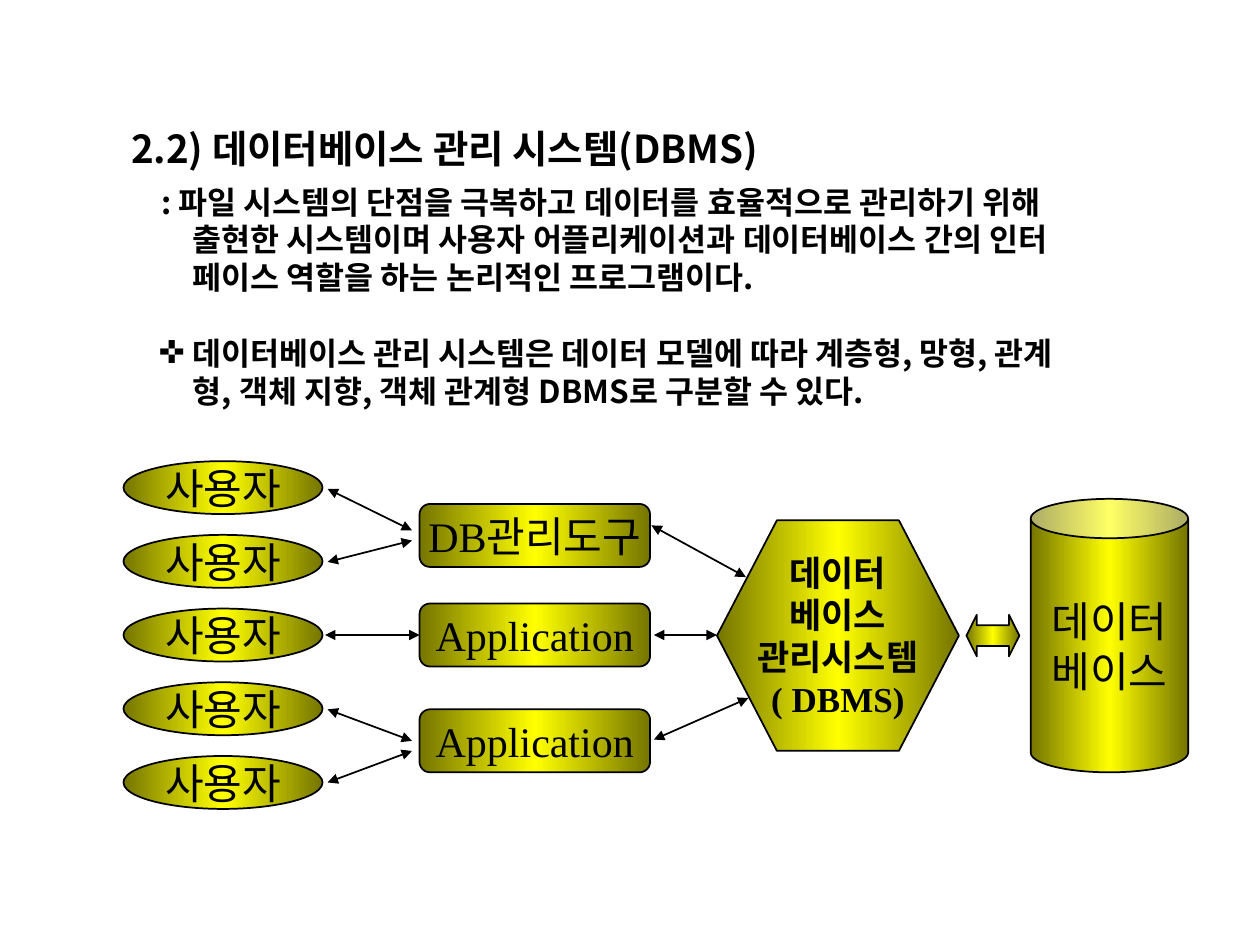
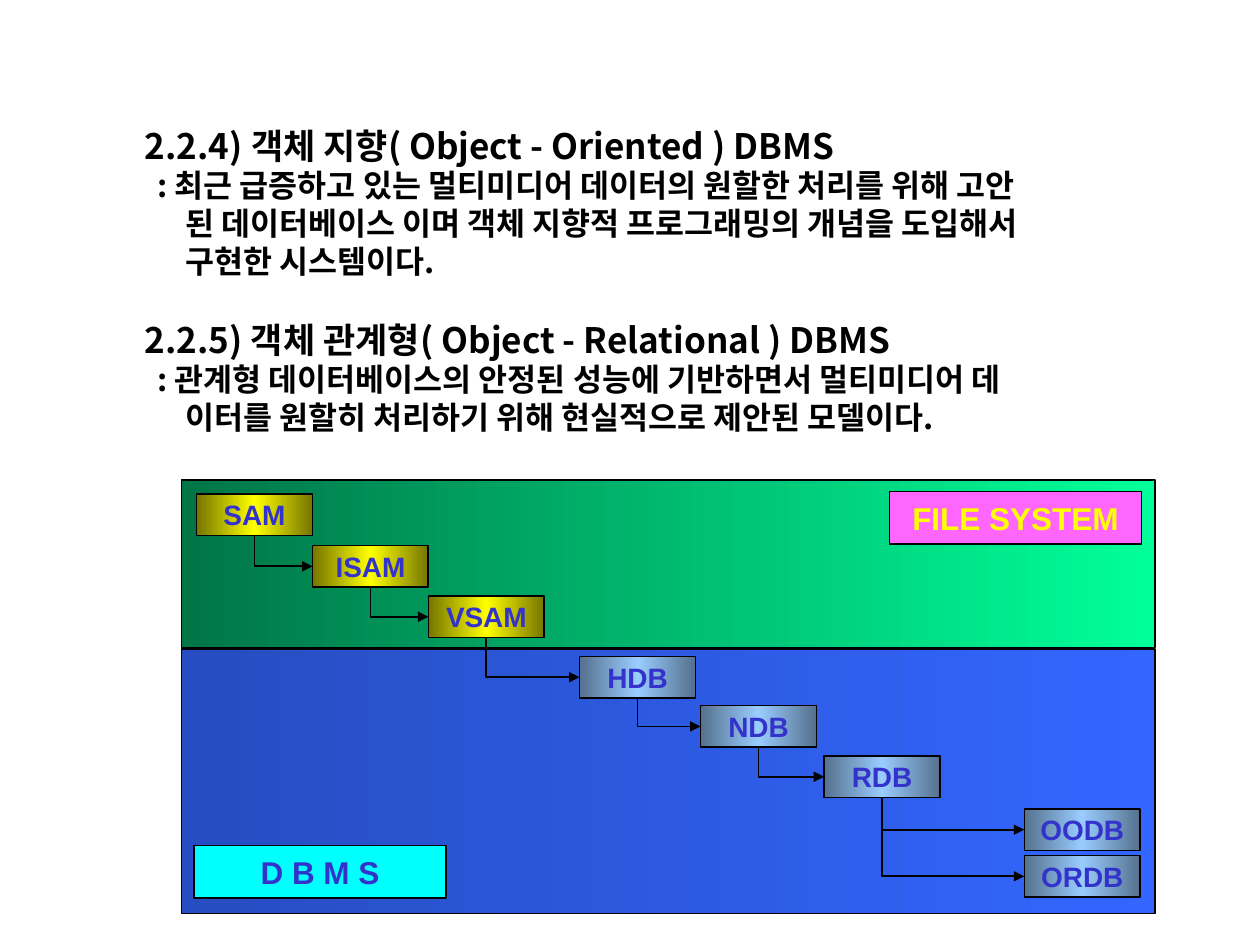
import pptx
import pptx.util
import pptx.dml.color
import pptx.enum.shapes
import pptx.enum.text
import pptx.oxml
import pptx.oxml.ns
import lxml.etree

Inches, Pt = pptx.util.Inches, pptx.util.Pt
SHAPE = pptx.enum.shapes.MSO_SHAPE
LINE = pptx.enum.shapes.MSO_CONNECTOR
ALIGN = pptx.enum.text.PP_ALIGN
ANCHOR = pptx.enum.text.MSO_ANCHOR
qn = pptx.oxml.ns.qn

BLACK, YELLOW, INDIGO = "000000", "FFFF00", "3333CC"
GOLD = ("757500", "FFFF00", "757500")
STEEL = ("55718E", "99CCFF", "55718E")
GREEN_BAND = ("00FF99", "007546")
BLUE_BAND = ("3366FF", "264DC1")
KOREAN, SERIF, SANS = "Noto Sans CJK KR", "Times New Roman", "Arial"
LEADING = 1.2


def rgb(color):
    return pptx.dml.color.RGBColor.from_string(color)


def add_xml(parent, tag, **attrs):
    return lxml.etree.SubElement(parent, qn(tag), attrs)


class Deck:
    """Holds the shared style and the slide being drawn."""

    def __init__(self):
        self.prs = pptx.Presentation()
        self.prs.slide_width, self.prs.slide_height = Inches(10), Inches(7.5)
        self.slide = None

    def new_slide(self, title, size, left):
        self.slide = self.prs.slides.add_slide(self.prs.slide_layouts[5])
        s = self.slide.shapes.title
        s.left, s.top = Inches(left), Inches(0.99)
        s.width, s.height = Inches(8), Inches(0.4)
        tf = self.plain_frame(s)
        tf.text = title
        self.style(tf.paragraphs[0], size, KOREAN, BLACK, True)

    def plain_frame(self, s):
        tf = s.text_frame
        tf.margin_left = tf.margin_right = tf.margin_top = tf.margin_bottom = 0
        tf.vertical_anchor = ANCHOR.TOP
        tf.word_wrap = True
        tf.auto_size = pptx.enum.text.MSO_AUTO_SIZE.NONE
        return tf

    def style(self, p, size, font, color, bold, align=ALIGN.LEFT):
        p.alignment = align
        p.line_spacing = Pt(size * LEADING)
        for r in p.runs:
            r.font.size, r.font.name, r.font.bold = Pt(size), font, bold
            r.font.color.rgb = rgb(color)
            add_xml(r.font._element, "a:ea", typeface=KOREAN)

    def body(self, left, top, height, paragraphs):
        """Each paragraph is (text, size, margin, hang, space before, bullet)."""
        s = self.slide.shapes.add_textbox(Inches(left), Inches(top), Inches(8.2), Inches(height))
        tf = self.plain_frame(s)
        for i, (text, size, margin, hang, before, bullet) in enumerate(paragraphs):
            p = tf.add_paragraph() if i else tf.paragraphs[0]
            p.text = text
            self.style(p, size, KOREAN, BLACK, True)
            p.space_before = Pt(before)
            pPr = p._p.get_or_add_pPr()
            pPr.set("marL", str(Inches(margin)))
            pPr.set("indent", str(-Inches(hang)))
            if bullet:
                add_xml(pPr, "a:buFont", typeface=SANS)
                add_xml(pPr, "a:buChar", char=bullet)

    def shape(self, kind, x, y, w, h, fill, text="", size=24, font=SERIF,
              color=BLACK, bold=False, adjust=()):
        s = self.slide.shapes.add_shape(kind, Inches(x), Inches(y), Inches(w), Inches(h))
        s.shadow.inherit = False
        for i, value in enumerate(adjust):
            s.adjustments[i] = value
        s.line.color.rgb, s.line.width = rgb(BLACK), Pt(1)
        if isinstance(fill, str):
            s.fill.solid()
            s.fill.fore_color.rgb = rgb(fill)
        else:
            self.gradient(s, fill)
        if text:
            tf = s.text_frame
            tf.text = text
            tf.word_wrap = False
            tf.vertical_anchor = ANCHOR.MIDDLE
            self.style(tf.paragraphs[0], size, font, color, bold, ALIGN.CENTER)
        return s

    def gradient(self, s, colors):
        s.fill.gradient()
        s.fill.gradient_angle = 180
        stops = s.element.spPr.find(qn("a:gradFill")).find(qn("a:gsLst"))
        for old in list(stops):
            stops.remove(old)
        for i, color in enumerate(colors):
            gs = add_xml(stops, "a:gs", pos=str(100000 * i // (len(colors) - 1)))
            add_xml(gs, "a:srgbClr", val=color)

    def finish_line(self, c, *ends):
        c.line.color.rgb, c.line.width = rgb(BLACK), Pt(1)
        for end in ends:
            add_xml(c.line._get_or_add_ln(), end, type="triangle")
        add_xml(c.element.spPr, "a:effectLst")

    def double_arrow(self, x1, y1, x2, y2):
        c = self.slide.shapes.add_connector(
            LINE.STRAIGHT, Inches(x1), Inches(y1), Inches(x2), Inches(y2))
        self.finish_line(c, "a:headEnd", "a:tailEnd")

    def step_arrow(self, start, end):
        """Goes down from the bottom of one box, then right into the next."""
        c = self.slide.shapes.add_connector(LINE.ELBOW, 0, 0, 0, 0)
        c.begin_connect(start, 2)
        c.end_connect(end, 1)
        x1, y1 = start.left + start.width // 2, start.top + start.height
        dx, dy = end.left - x1, end.top + end.height // 2 - y1
        # The one-bend preset turns the other way, so it is rotated and flipped
        c.left, c.top = x1 + (dx - dy) // 2, y1 + (dy - dx) // 2
        c.width, c.height = dy, dx
        spPr = c.element.spPr
        xfrm = spPr.find(qn("a:xfrm"))
        xfrm.attrib.pop("flipV", None)
        xfrm.set("rot", "16200000")
        xfrm.set("flipH", "1")
        spPr.find(qn("a:prstGeom")).set("prst", "bentConnector2")
        self.finish_line(c, "a:tailEnd")


def dbms_slide(deck):
    deck.new_slide("2.2) 데이터베이스 관리 시스템(DBMS)", 22, 1.04)
    deck.body(1.04, 1.45, 1.9, [
        (": 파일 시스템의 단점을 극복하고 데이터를 효율적으로 관리하기 위해\v"
         "출현한 시스템이며 사용자 어플리케이션과 데이터베이스 간의 인터\v"
         "페이스 역할을 하는 논리적인 프로그램이다.", 18, 0.49, 0.25, 0, None),
        ("데이터베이스 관리 시스템은 데이터 모델에 따라 계층형, 망형, 관계\v"
         "형, 객체 지향, 객체 관계형 DBMS로 구분할 수 있다.", 18, 0.49, 0.27, 21.6, "✜"),
    ])

    # Users and the tools they work with
    for i in range(5):
        deck.shape(SHAPE.OVAL, 0.98, 3.66 + 0.585 * i, 1.58, 0.42, GOLD, "사용자")
    for y, name in ((4, "DB관리도구"), (4.79, "Application"), (5.63, "Application")):
        deck.shape(SHAPE.ROUNDED_RECTANGLE, 3.33, y, 1.83, 0.5, GOLD, name)

    # DBMS and database
    deck.shape(SHAPE.HEXAGON, 5.69, 4.13, 1.92, 1.83, GOLD,
               "데이터\v베이스\v관리시스템\v( DBMS)", size=20, bold=True, adjust=(0.26,))
    deck.shape(SHAPE.CAN, 8.18, 3.96, 1.25, 2.17, GOLD, "데이터\v베이스", adjust=(0.25,))
    deck.shape(SHAPE.LEFT_RIGHT_ARROW, 7.67, 4.88, 0.42, 0.33, GOLD, adjust=(0.5, 0.25))

    # Links from users to tools, then from tools to the DBMS
    for ends in ((2.6, 3.88, 3.27, 4.21), (2.6, 4.46, 3.27, 4.29), (2.58, 5.04, 3.33, 5.04),
                 (2.6, 5.63, 3.27, 5.88), (2.6, 6.21, 3.27, 5.96),
                 (5.17, 4.17, 5.92, 4.58), (5.19, 5.04, 5.69, 5.04), (5.19, 5.87, 5.94, 5.54)):
        deck.double_arrow(*ends)


def object_dbms_slide(deck):
    deck.new_slide("2.2.4) 객체 지향( Object - Oriented ) DBMS", 20, 1.15)
    deck.body(1.15, 1.32, 2.15, [
        (": 최근 급증하고 있는 멀티미디어 데이터의 원할한 처리를 위해 고안\v"
         "된 데이터베이스 이며 객체 지향적 프로그래밍의 개념을 도입해서\v"
         "구현한 시스템이다.", 18, 0.32, 0.22, 0, None),
        ("2.2.5) 객체 관계형( Object - Relational ) DBMS", 20, 0, 0, 22, None),
        (": 관계형 데이터베이스의 안정된 성능에 기반하면서 멀티미디어 데\v"
         "이터를 원할히 처리하기 위해 현실적으로 제안된 모델이다.", 18, 0.32, 0.22, 0, None),
    ])

    # Bands for the two eras and their labels
    label = dict(size=18, font=SANS, bold=True)
    deck.shape(SHAPE.RECTANGLE, 1.44, 5.15, 7.73, 2.1, BLUE_BAND)
    deck.shape(SHAPE.RECTANGLE, 1.44, 3.81, 7.73, 1.33, GREEN_BAND)
    deck.shape(SHAPE.RECTANGLE, 7.06, 3.9, 2, 0.42, "FF66FF", "FILE SYSTEM", color=YELLOW, **label)
    deck.shape(SHAPE.RECTANGLE, 1.54, 6.71, 2, 0.42, "00FFFF", "D B M S", color=INDIGO, **label)

    # Steps of development
    steps = (("SAM", 1.56, 3.92, GOLD), ("ISAM", 2.48, 4.33, GOLD), ("VSAM", 3.4, 4.73, GOLD),
             ("HDB", 4.6, 5.21, STEEL), ("NDB", 5.56, 5.6, STEEL), ("RDB", 6.54, 6, STEEL),
             ("OODB", 8.13, 6.42, STEEL), ("ORDB", 8.13, 6.79, STEEL))
    boxes = [deck.shape(SHAPE.RECTANGLE, x, y, 0.92, 0.33, fill, name, 16, SANS, INDIGO, True)
             for name, x, y, fill in steps]
    for start, end in zip(boxes[:6], boxes[1:7]):
        deck.step_arrow(start, end)
    deck.step_arrow(boxes[5], boxes[7])


def main():
    deck = Deck()
    dbms_slide(deck)
    object_dbms_slide(deck)
    deck.prs.save("out.pptx")


if __name__ == "__main__":
    main()
